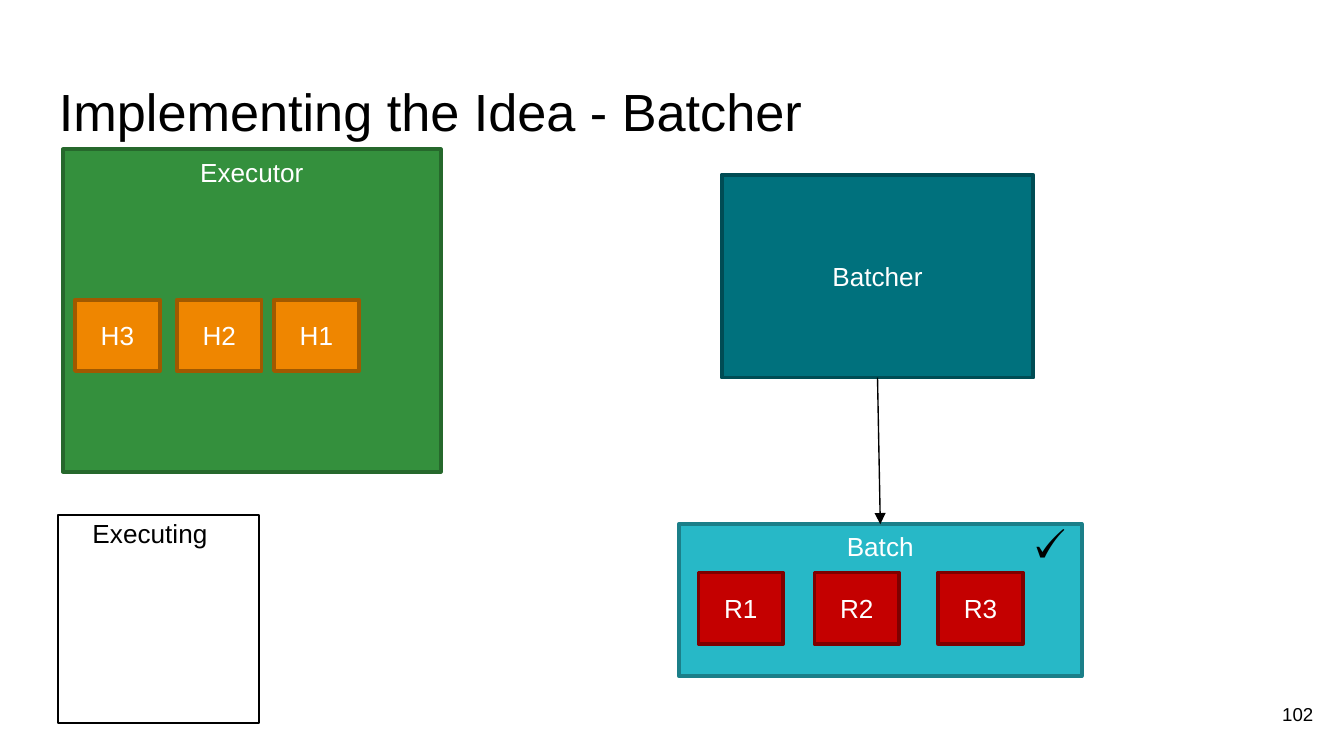
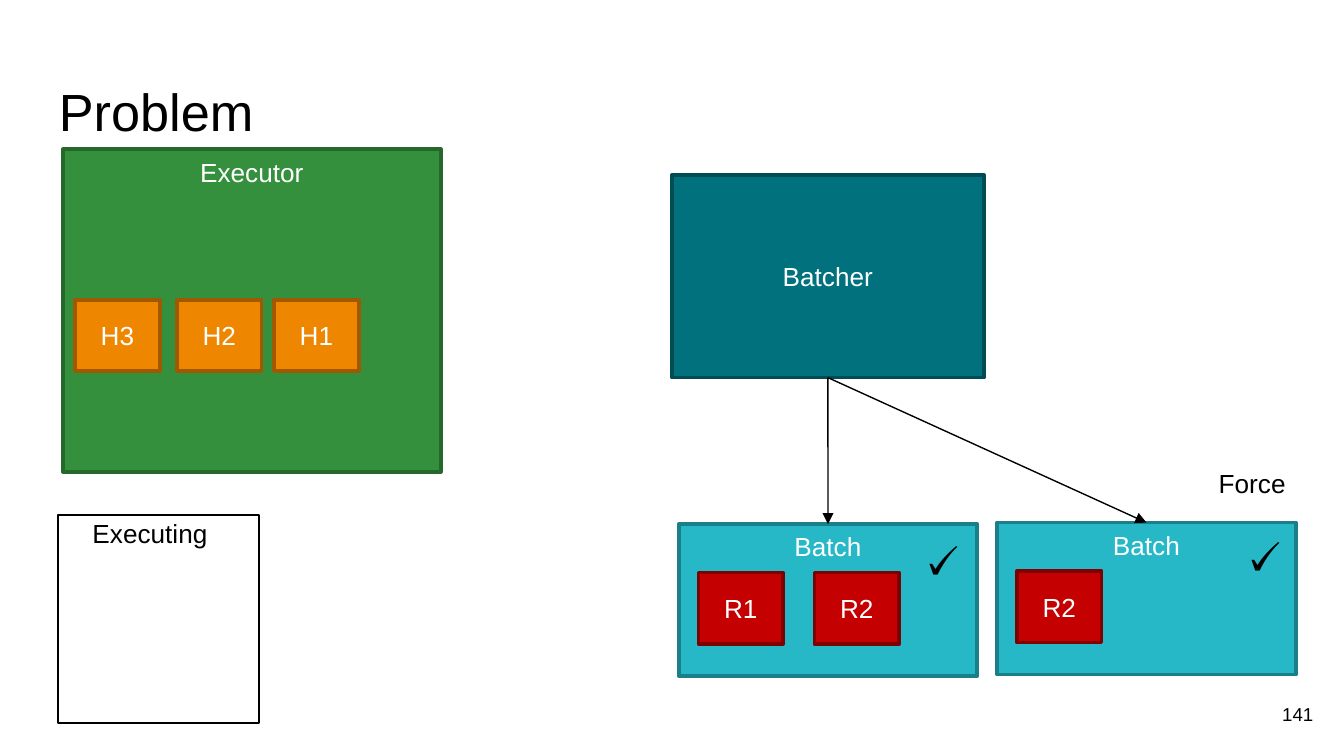
from lxml.etree import SubElement
from pptx import Presentation
from pptx.dml.color import RGBColor
from pptx.enum.shapes import MSO_CONNECTOR, MSO_SHAPE
from pptx.enum.text import MSO_ANCHOR, PP_ALIGN
from pptx.oxml.ns import qn
from pptx.util import Pt

FONT = "Arial"
BLACK, WHITE = "000000", "FFFFFF"
GREEN = ("34903D", "26682C")
ORANGE = ("EF8600", "A05900")
TEAL = ("00717D", "004C54")
CYAN = ("27B8C7", "1B7F89")
RED = ("C40000", "7E0000")
TILE = (45.4, 38.2)


def color(code):
    """Turn a hex string into a colour."""
    return RGBColor.from_string(code)


def style(frame, text, size, ink, align, anchor, pad=(7.2, 3.6), bold=False):
    """Fill a text frame with one formatted line."""
    frame.text = text
    frame.word_wrap = True
    frame.vertical_anchor = anchor
    frame.margin_left = frame.margin_right = Pt(pad[0])
    frame.margin_top = frame.margin_bottom = Pt(pad[1])
    line = frame.paragraphs[0]
    line.alignment = align
    for run in line.runs:
        run.font.name = FONT
        run.font.size = Pt(size)
        run.font.bold = bold
        run.font.color.rgb = color(ink)


def label(slide, box, text, size=14, align=PP_ALIGN.LEFT,
          anchor=MSO_ANCHOR.TOP, **look):
    """Add plain black text in a box."""
    item = slide.shapes.add_textbox(*map(Pt, box))
    style(item.text_frame, text, size, BLACK, align, anchor, **look)


def block(slide, box, text, paint, anchor=MSO_ANCHOR.MIDDLE, width=2):
    """Add a rectangle, with a centred white name if it has one."""
    item = slide.shapes.add_shape(MSO_SHAPE.RECTANGLE, *map(Pt, box))
    item.shadow.inherit = False
    fill, edge = paint
    if fill:
        item.fill.solid()
        item.fill.fore_color.rgb = color(fill)
    else:
        item.fill.background()
    item.line.color.rgb = color(edge)
    item.line.width = Pt(width)
    if text:
        style(item.text_frame, text, 14, WHITE, PP_ALIGN.CENTER, anchor)
    return item


def tiles(slide, left, top, names, steps, paint):
    """Place a row of small tiles at the given steps from the left."""
    for name, step in zip(names, steps):
        block(slide, (left + step, top, *TILE), name, paint)


def arrow(slide, start, end):
    """Join the bottom of one block to the top of another."""
    item = slide.shapes.add_connector(MSO_CONNECTOR.STRAIGHT, 0, 0, 0, 0)
    item.begin_connect(start, 2)
    item.end_connect(end, 0)
    item.line.color.rgb = color(BLACK)
    item.line.width = Pt(0.75)
    SubElement(item.line._get_or_add_ln(), qn("a:tailEnd"), type="triangle")
    SubElement(item._element.spPr, qn("a:effectLst"))


def frame(deck, title, number):
    """Add a slide with its title and page number."""
    slide = deck.slides.add_slide(deck.slide_layouts[6])
    label(slide, (24.5, 35.3, 671, 45.4), title, 28, pad=(7.2, 7.2))
    label(slide, (667.4, 367.2, 43.2, 31), number, 10, PP_ALIGN.RIGHT,
          MSO_ANCHOR.MIDDLE, pad=(7.2, 7.2))
    return slide


def runner(slide, box):
    """Draw the executor with its handlers."""
    left, top = box[:2]
    block(slide, box, "Executor", GREEN, MSO_ANCHOR.TOP)
    tiles(slide, left, top + 80.6, ("H3", "H2", "H1"), (6.4, 61, 113), ORANGE)


def active(slide, box):
    """Draw the empty box of running work."""
    left, top = box[:2]
    block(slide, box, "", (None, BLACK), width=1)
    label(slide, (left + 11.5, top - 2.2, 79.2, 24.5), "Executing")


def batch(slide, box, names, mark):
    """Draw a batch with its requests and a tick near its right top corner."""
    left, top, wide, _ = box
    item = block(slide, box, "Batch", CYAN, MSO_ANCHOR.TOP)
    tiles(slide, left, top + 26, names, (10.6, 72.7, 139), RED)
    across, down = mark
    label(slide, (left + wide + across, top + down, 49, 46), "🗸", 32, bold=True)
    return item


def scene(deck, title, number, left, groups):
    """Build a slide where the batcher feeds each batch."""
    slide = frame(deck, title, number)
    runner(slide, (33.8, 80, 202.3, 172.8))
    active(slide, (31, 275.8, 108, 111.6))
    source = block(slide, (left, 93.6, 167, 108.7), "Batcher", TEAL)
    for group in groups:
        arrow(slide, source, batch(slide, *group))
    return slide


def main():
    """Build the deck."""
    deck = Presentation()
    deck.slide_width, deck.slide_height = Pt(720), Pt(405)
    scene(deck, "Implementing the Idea - Batcher", "102", 386.6, [
        ((363.6, 280.8, 216, 81.4), ("R1", "R2", "R3"), (-36, -13.7)),
    ])
    slide = scene(deck, "Problem", "141", 360, [
        ((363.6, 280.8, 160, 81.4), ("R1", "R2"), (-37.5, -5)),
        ((534.2, 280, 160, 81.4), ("R2",), (-35.4, -6.4)),
    ])
    label(slide, (645.8, 247, 57, 23.8), "Force")
    deck.save("out.pptx")


if __name__ == "__main__":
    main()
